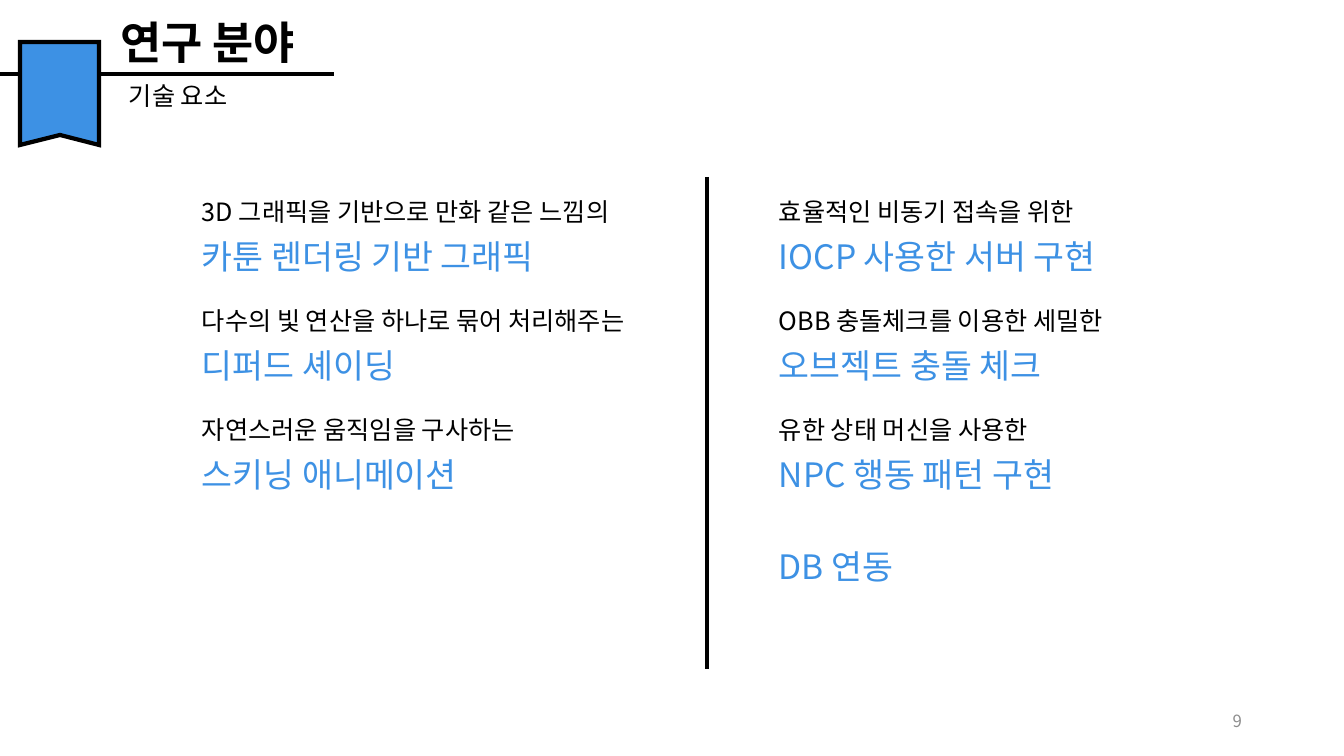
"""Builds the research areas slide: a ribbon header and two columns of technical elements."""
from lxml.etree import SubElement
from pptx import Presentation
from pptx.dml.color import RGBColor
from pptx.enum.shapes import MSO_CONNECTOR
from pptx.enum.text import MSO_ANCHOR, MSO_AUTO_SIZE, PP_ALIGN
from pptx.oxml.ns import qn
from pptx.util import Pt

PX = 914400 / 100.8
FONT = "Noto Sans CJK KR"
BLACK, BLUE, GRAY = "000000", "3D91E4", "8C8C8C"


def color(target, value):
    if hasattr(target, "solid"):
        target.solid()
        target = target.fore_color
    target.rgb = RGBColor.from_string(value)


def write(holder, box, text, size, ink=BLACK, align=PP_ALIGN.LEFT, anchor=MSO_ANCHOR.TOP, bold=False):
    holder.left, holder.top, holder.width, holder.height = [round(n * PX) for n in box]
    frame = holder.text_frame
    frame.auto_size = MSO_AUTO_SIZE.NONE
    frame.word_wrap = True
    frame.vertical_anchor = anchor
    paragraph = frame.paragraphs[0]
    paragraph.text = text
    paragraph.alignment = align
    font = paragraph.font
    font.size, font.bold, font.name = Pt(size), bold, FONT
    color(font.fill, ink)
    SubElement(paragraph._p.pPr.find(qn("a:defRPr")), qn("a:ea"), typeface=FONT)


deck = Presentation()
deck.slide_width, deck.slide_height = round(1344 * PX), round(756 * PX)
slide = deck.slides.add_slide(deck.slide_layouts[5])
shapes = slide.shapes

for ends in [(0, 74, 334, 74), (707, 177, 707, 669)]:
    rule = shapes.add_connector(MSO_CONNECTOR.STRAIGHT, *[round(n * PX) for n in ends])
    rule.line.width = Pt(2.5)
    color(rule.line.fill, BLACK)
    SubElement(rule._element.spPr, qn("a:effectLst"))

outline = shapes.build_freeform(20, 42, scale=PX)
outline.add_line_segments([(99, 42), (99, 145), (60, 135), (20, 145)], close=True)
ribbon = outline.convert_to_shape()
ribbon.shadow.inherit = False
color(ribbon.fill, BLUE)
color(ribbon.line.fill, BLACK)
ribbon.line.width = Pt(3)
SubElement(ribbon.line._get_or_add_ln(), qn("a:miter"), lim="800000")

write(shapes.title, (110, 10, 233, 65), "연구 분야", 32, bold=True)

labels = [
    ((119, 75, 285, 40), "기술 요소", 18, BLACK),
    ((769, 541, 384, 50), "DB 연동", 24, BLUE),
]
columns = [
    (192, 493, [
        ("3D 그래픽을 기반으로 만화 같은 느낌의", "카툰 렌더링 기반 그래픽"),
        ("다수의 빛 연산을 하나로 묶어 처리해주는", "디퍼드 셰이딩"),
        ("자연스러운 움직임을 구사하는", "스키닝 애니메이션"),
    ]),
    (769, 384, [
        ("효율적인 비동기 접속을 위한", "IOCP 사용한 서버 구현"),
        ("OBB 충돌체크를 이용한 세밀한", "오브젝트 충돌 체크"),
        ("유한 상태 머신을 사용한", "NPC 행동 패턴 구현"),
    ]),
]
for left, width, topics in columns:
    for row, (purpose, technique) in enumerate(topics):
        top = 191 + 109 * row
        labels.append(((left, top, width, 40), purpose, 18, BLACK))
        labels.append(((left, top + 40, width, 50), technique, 24, BLUE))

for box, text, size, ink in labels:
    write(shapes.add_textbox(0, 0, 0, 0), box, text, size, ink)

write(shapes.add_textbox(0, 0, 0, 0), (950, 701, 302, 40), "9", 12, GRAY,
      PP_ALIGN.RIGHT, MSO_ANCHOR.MIDDLE)

deck.save("out.pptx")
